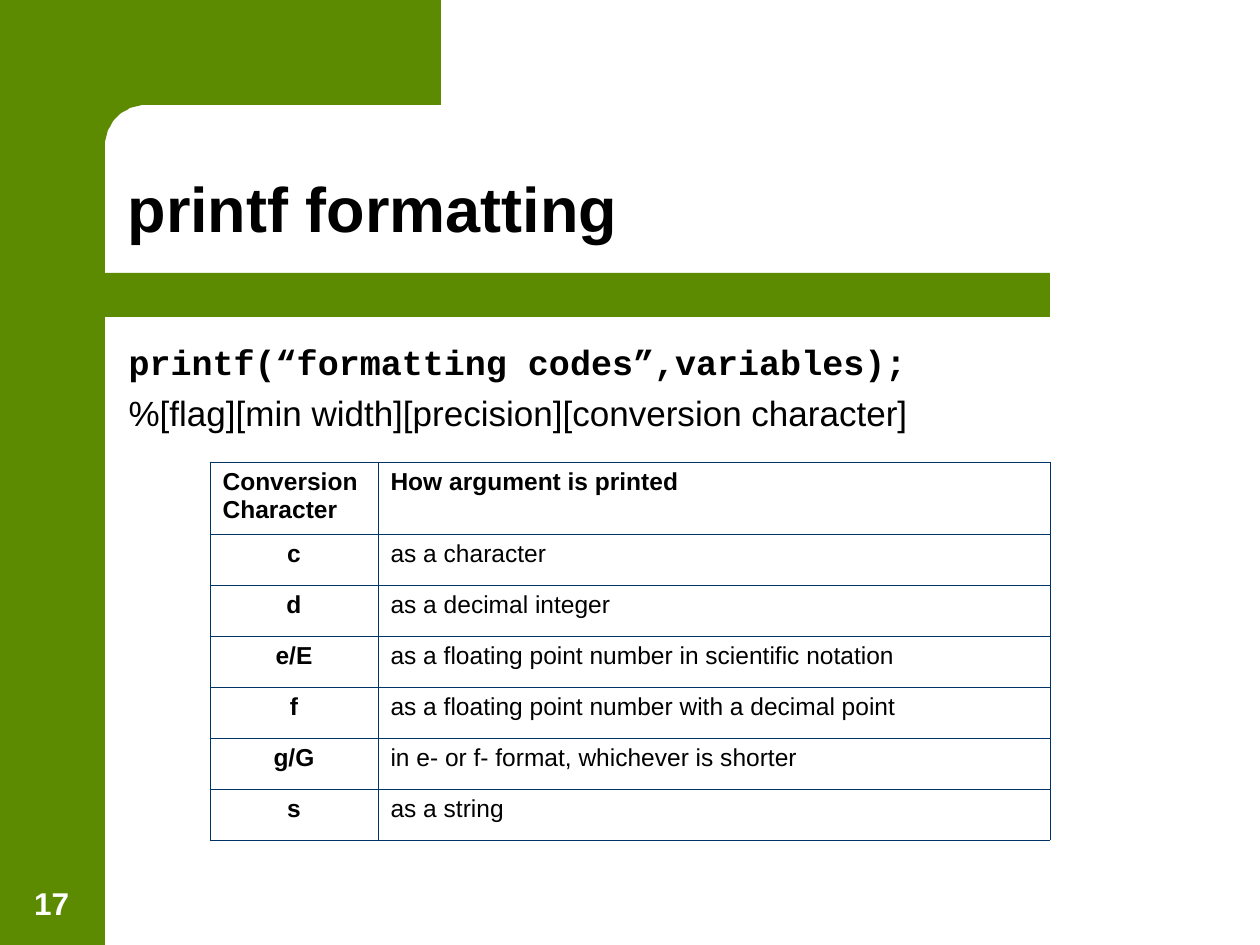
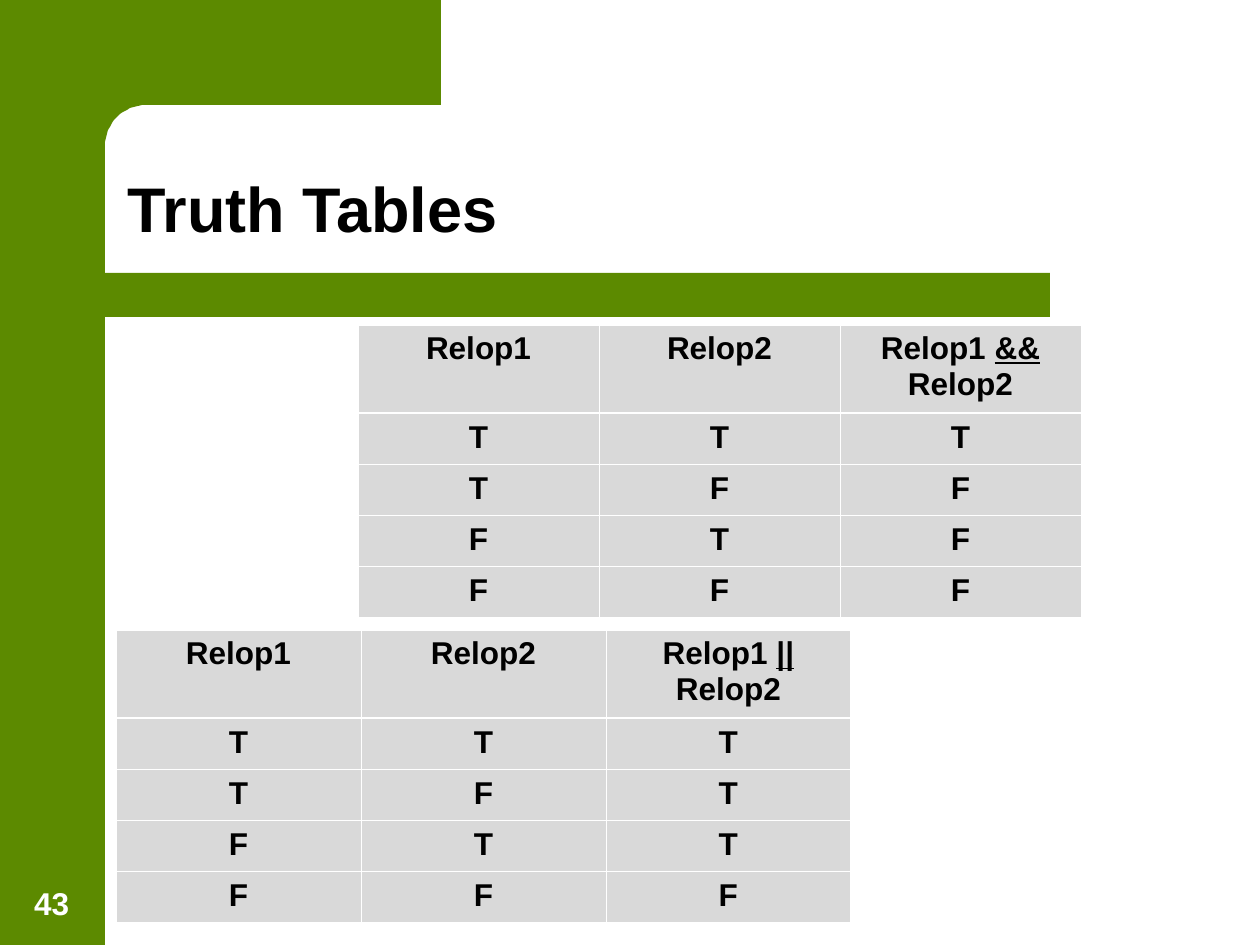
from itertools import product
from math import cos, pi, sin

from lxml.etree import SubElement
from pptx import Presentation
from pptx.dml.color import RGBColor
from pptx.enum.shapes import MSO_SHAPE
from pptx.enum.text import MSO_ANCHOR, MSO_AUTO_SIZE, PP_ALIGN
from pptx.oxml.ns import qn
from pptx.util import Pt

PX = 7257  # EMU in one px, at 126 px to the inch
GREEN = RGBColor(0x5C, 0x8A, 0x00)
NAVY = RGBColor(0x00, 0x33, 0x66)
GREY = RGBColor(0xD9, 0xD9, 0xD9)
BLACK = RGBColor(0x00, 0x00, 0x00)
WHITE = RGBColor(0xFF, 0xFF, 0xFF)

TITLE = {"name": "Arial", "size": Pt(36), "bold": True}
CODE = {"name": "Courier New", "size": Pt(20), "bold": True}
BODY = {"name": "Arial", "size": Pt(20), "bold": False}
NUMBER = {"name": "Arial", "size": Pt(18), "bold": True}
CELL = {"name": "Arial", "size": Pt(14), "bold": False}
CELL_BOLD = {**CELL, "bold": True}
TRUTH = {**NUMBER}

THIN, THICK = Pt(0.45), Pt(1.47)
ROW_HEIGHT = 51


def add_run(paragraph, text, font_format, color=BLACK):
    run = paragraph.add_run()
    run.text = text
    for name, value in font_format.items():
        setattr(run.font, name, value)
    run.font.color.rgb = color
    return run


def add_grid(slide, left, top, widths, header_height, rows, fill, line, header_line):
    """Add an empty bordered table with one header row and return it."""
    heights = [header_height] + [ROW_HEIGHT] * (rows - 1)
    table = slide.shapes.add_table(
        rows, len(widths), left * PX, top * PX, sum(widths) * PX, sum(heights) * PX
    ).table
    table.first_row = table.horz_banding = False
    for column, width in zip(table.columns, widths):
        column.width = width * PX
    for index, (row, height) in enumerate(zip(table.rows, heights)):
        row.height = height * PX
        borders = {
            "a:lnL": THIN,
            "a:lnR": THIN,
            "a:lnT": header_line if index == 1 else THIN,
            "a:lnB": header_line if index == 0 else THIN,
        }
        for cell in row.cells:
            properties = cell._tc.get_or_add_tcPr()
            for tag, width in borders.items():
                border = SubElement(properties, qn(tag), w=str(width))
                solid = SubElement(border, qn("a:solidFill"))
                SubElement(solid, qn("a:srgbClr"), val=str(line))
            cell.fill.solid()
            cell.fill.fore_color.rgb = fill
    return table


presentation = Presentation()
presentation.slide_width = 1260 * PX
presentation.slide_height = 945 * PX
title_and_content = presentation.slide_layouts[1]
title_only = presentation.slide_layouts[5]

printf_slide = presentation.slides.add_slide(title_and_content)
truth_slide = presentation.slides.add_slide(title_only)

# Green frame, kept on the slide master
frame = printf_slide.shapes.add_group_shape()
for box in ((0, 0, 105, 945), (84, 273, 966, 44)):
    frame.shapes.add_shape(MSO_SHAPE.RECTANGLE, *[length * PX for length in box])

corner, radius = 146, 41
arc = [
    (corner - radius * sin(step * pi / 32), corner - radius * cos(step * pi / 32))
    for step in range(17)
]
builder = frame.shapes.build_freeform(441, 0, scale=PX)
builder.add_line_segments([(441, 105), *arc, (105, 161), (63, 161), (63, 0)], close=True)
builder.convert_to_shape()

for shape in frame.shapes:
    shape.shadow.inherit = False
    shape.fill.solid()
    shape.fill.fore_color.rgb = GREEN
    shape.line.fill.background()
for identifier, element in enumerate(frame.element.iter(qn("p:cNvPr")), start=100):
    element.set("id", str(identifier))
presentation.slide_master.shapes.element.insert(2, frame.element)

# Titles and slide numbers
for slide, heading, number in (
    (printf_slide, "printf formatting", "17"),
    (truth_slide, "Truth Tables", "43"),
):
    title = slide.shapes.title
    title.left, title.top, title.width, title.height = [
        length * PX for length in (115, 115, 1072, 137)
    ]
    title.text_frame.auto_size = MSO_AUTO_SIZE.NONE
    title.text_frame.vertical_anchor = MSO_ANCHOR.BOTTOM
    paragraph = title.text_frame.paragraphs[0]
    paragraph.alignment = PP_ALIGN.LEFT
    paragraph.line_spacing = 0.9
    add_run(paragraph, heading, TITLE)

    number_box = slide.shapes.add_textbox(*[length * PX for length in (11, 861, 81, 67)])
    number_box.text_frame.word_wrap = True
    number_box.text_frame.vertical_anchor = MSO_ANCHOR.BOTTOM
    paragraph = number_box.text_frame.paragraphs[0]
    paragraph.alignment = PP_ALIGN.CENTER
    add_run(paragraph, number, NUMBER, WHITE)

# printf formatting: syntax lines
body = printf_slide.placeholders[1]
body.left, body.top, body.width, body.height = [
    length * PX for length in (116, 334, 1124, 504)
]
body.text_frame.auto_size = MSO_AUTO_SIZE.NONE
syntax_lines = (
    ("printf(“formatting codes”,variables);", CODE, 0),
    ("%[flag][min width][precision][conversion character]", BODY, 5),
)
body.text_frame.add_paragraph()
for paragraph, (text, font_format, space) in zip(body.text_frame.paragraphs, syntax_lines):
    properties = paragraph._p.get_or_add_pPr()
    properties.set("marL", "0")
    properties.set("indent", "0")
    SubElement(properties, qn("a:buNone"))
    paragraph.space_before = Pt(space)
    add_run(paragraph, text, font_format)

# printf formatting: conversion characters
conversions = (
    ("c", "as a character"),
    ("d", "as a decimal integer"),
    ("e/E", "as a floating point number in scientific notation"),
    ("f", "as a floating point number with a decimal point"),
    ("g/G", "in e- or f- format, whichever is shorter"),
    ("s", "as a string"),
)
table = add_grid(
    printf_slide, 210, 462, (168, 672), 72, len(conversions) + 1, WHITE, NAVY, THIN
)
character_header = table.cell(0, 0).text_frame
add_run(character_header.paragraphs[0], "Conversion", CELL_BOLD)
add_run(character_header.add_paragraph(), "Character", CELL_BOLD)
add_run(table.cell(0, 1).text_frame.paragraphs[0], "How argument is printed", CELL_BOLD)
for row, (character, meaning) in enumerate(conversions, start=1):
    paragraph = table.cell(row, 0).text_frame.paragraphs[0]
    paragraph.alignment = PP_ALIGN.CENTER
    add_run(paragraph, character, CELL_BOLD)
    add_run(table.cell(row, 1).text_frame.paragraphs[0], meaning, CELL)

# Truth tables
for operator, results, left, top, column_width in (
    ("&&", "TFFF", 358, 325, 241),
    ("||", "TTTF", 116, 630, 245),
):
    rows = [(["Relop1"], ["Relop2"], ["Relop1 ", operator, " Relop2"])]
    rows += [(*pair, result) for pair, result in zip(product("TF", repeat=2), results)]
    table = add_grid(
        truth_slide, left, top, [column_width] * 3, 88, len(rows), GREY, WHITE, THICK
    )
    for table_row, values in zip(table.rows, rows):
        for cell, parts in zip(table_row.cells, values):
            paragraph = cell.text_frame.paragraphs[0]
            paragraph.alignment = PP_ALIGN.CENTER
            for part in parts:
                add_run(paragraph, part, TRUTH).font.underline = part == operator

presentation.save("out.pptx")
